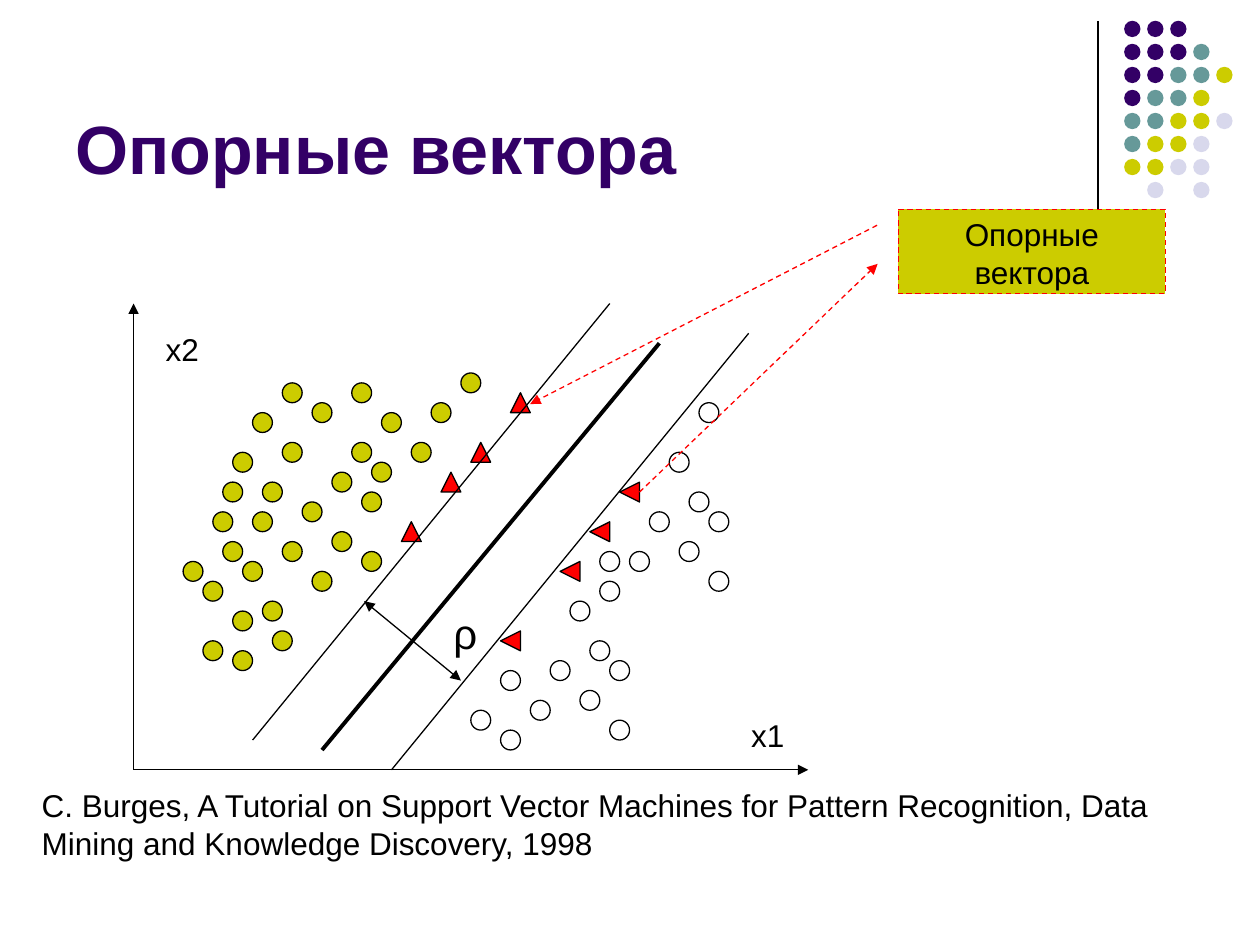
from lxml.etree import SubElement
from pptx import Presentation
from pptx.dml.color import RGBColor as RGB
from pptx.enum.dml import MSO_LINE as Dash
from pptx.enum.shapes import MSO_CONNECTOR as Link, MSO_SHAPE as Shape
from pptx.enum.text import MSO_ANCHOR as Anchor, PP_ALIGN as Align
from pptx.oxml.ns import qn
from pptx.util import Cm, Inches, Pt

COLORS = {"purple": "330066", "teal": "669999", "olive": "CCCC00",
          "pale": "D8D8EC", "red": "FF0000", "black": "000000"}

deck = Presentation()
deck.slide_width, deck.slide_height = Inches(10), Inches(7.5)
page = deck.slides.add_slide(deck.slide_layouts[6])

# One grid for the whole page: 2 mm cells, columns to the right of the
# plot's origin, rows upwards from it.
CELL = Cm(0.2)
ORIGIN_X, ORIGIN_Y = Inches(1.06), Inches(6.11)


def frame(col, row, cols, rows):
    """Turn a top left cell and a size in cells into lengths on the page."""
    return [round(v) for v in (ORIGIN_X + col * CELL, ORIGIN_Y - row * CELL,
                               cols * CELL, rows * CELL)]


def style_line(line, color="black", width=0.75, dashed=False, arrows=()):
    """Arrows name the ends that carry one: headEnd, tailEnd."""
    line.color.rgb = RGB.from_string(COLORS[color])
    line.width = Pt(width)
    if dashed:
        line.dash_style = Dash.DASH
    for end in arrows:
        SubElement(line._get_or_add_ln(), qn(f"a:{end}"), type="triangle")


# Corner ornament, one letter per dot
dot_colors = {"P": "purple", "T": "teal", "Y": "olive", "L": "pale"}
dot_rows = ["PPP", "PPPT", "PPTTY", "PTTY", "TTYYL", "TYYL", "YYLL", " L L"]
DOT_STEP = 2.32
for down, letters in enumerate(dot_rows):
    for across, letter in enumerate(letters):
        if letter in dot_colors:
            dot = page.shapes.add_shape(Shape.OVAL, *frame(
                99.85 + across * DOT_STEP, 75.5 - down * DOT_STEP, 1.65, 1.65))
            dot.shadow.inherit = False
            dot.fill.solid()
            dot.fill.fore_color.rgb = RGB.from_string(COLORS[dot_colors[letter]])
            dot.line.fill.background()

# Points of both classes: shape, fill, rotation, top left cells
point_groups = [
    (Shape.OVAL, "olive", 0, [
        (22, 39), (25, 36), (28, 33), (23, 22), (33, 40), (24, 31), (30, 37),
        (22, 33), (9, 29), (12, 26), (15, 23), (18, 20), (23, 28), (10, 12),
        (13, 17), (20, 30), (20, 24), (11, 21), (17, 27), (9, 23), (7, 19),
        (10, 16), (10, 32), (13, 29), (18, 37), (5, 21), (8, 26), (15, 39),
        (15, 33), (14, 14), (12, 36), (7, 13)]),
    (Shape.ISOSCELES_TRIANGLE, "red", 0,
     [(31, 30), (38, 38), (27, 25), (34, 33)]),
    (Shape.OVAL, None, 0, [
        (58, 20), (55, 23), (52, 26), (57, 37), (54, 32), (47, 19), (56, 28),
        (50, 22), (58, 26), (48, 5), (45, 8), (42, 11), (34, 6), (47, 22),
        (44, 17), (37, 4), (37, 10), (46, 13), (40, 7), (48, 11)]),
    (Shape.ISOSCELES_TRIANGLE, "red", 270,
     [(49, 29), (43, 21), (46, 25), (37, 14)]),
]
for kind, color, rotation, cells in point_groups:
    for col, row in cells:
        point = page.shapes.add_shape(kind, *frame(col, row, 2, 2))
        point.shadow.inherit = False
        point.rotation = rotation
        if color:
            point.fill.solid()
            point.fill.fore_color.rgb = RGB.from_string(COLORS[color])
        else:
            point.fill.background()
        style_line(point.line)

# Lines: start cell, end cell, format
lines = [
    ((97.2, 75.5), (97.2, 54.4), {}),
    ((0, 0), (0, 47), {"arrows": ["tailEnd"]}),
    ((0, 0), (68, 0), {"arrows": ["tailEnd"]}),
    ((19, 2), (53, 43), {"width": 2.25}),
    ((12, 3), (48, 47), {}),
    ((26, 0), (62, 44), {}),
    ((23.25, 17), (33, 9), {"arrows": ["headEnd", "tailEnd"]}),
    ((51, 28), (75, 51),
     {"color": "red", "dashed": True, "arrows": ["tailEnd"]}),
]
for start, end, look in lines:
    link = page.shapes.add_connector(
        Link.STRAIGHT, *frame(*start, 0, 0)[:2], *frame(*end, 0, 0)[:2])
    style_line(link.line, **look)
    SubElement(link._element.spPr, qn("a:effectLst"))

# Callout pointing at a support vector
callout = page.shapes.add_shape(Shape.LINE_CALLOUT_1,
                                *frame(77.1, 56.5, 26.9, 8.5))
callout.shadow.inherit = False
for index, share in enumerate([0.19, -0.08, 2.31, -1.38]):
    callout.adjustments[index] = share
callout.fill.solid()
callout.fill.fore_color.rgb = RGB.from_string(COLORS["olive"])
style_line(callout.line, "red", dashed=True, arrows=["tailEnd"])

# Texts: box, wording, font format, alignment, anchor
plain = {"size": Pt(18), "bold": False, "name": "Arial"}
heading = {**plain, "size": Pt(39), "bold": True}
texts = [
    (frame(-7.1, 76, 104.8, 18), "Опорные вектора", heading, "purple",
     Align.LEFT, Anchor.BOTTOM),
    (frame(31, 17, 5, 6.4), "ρ", {**plain, "size": Pt(24)}, "black",
     Align.LEFT, Anchor.TOP),
    (frame(2, 45, 8, 5), "x2", plain, "black", Align.LEFT, Anchor.TOP),
    (frame(61, 6, 12, 5), "x1", plain, "black", Align.LEFT, Anchor.TOP),
    (frame(-10.5, -1, 121, 12.7),
     "C. Burges, A Tutorial on Support Vector Machines for Pattern "
     "Recognition, Data Mining and Knowledge Discovery, 1998",
     plain, "black", Align.LEFT, Anchor.TOP),
    (None, "Опорные вектора", plain, "black", Align.CENTER, Anchor.TOP),
]
for place, wording, font, color, align, anchor in texts:
    box = page.shapes.add_textbox(*place) if place else callout
    box.text_frame.word_wrap = True
    box.text_frame.vertical_anchor = anchor
    para = box.text_frame.paragraphs[0]
    para.alignment = align
    span = para.add_run()
    span.text = wording
    for key, value in font.items():
        setattr(span.font, key, value)
    span.font.color.rgb = RGB.from_string(COLORS[color])

deck.save("out.pptx")
